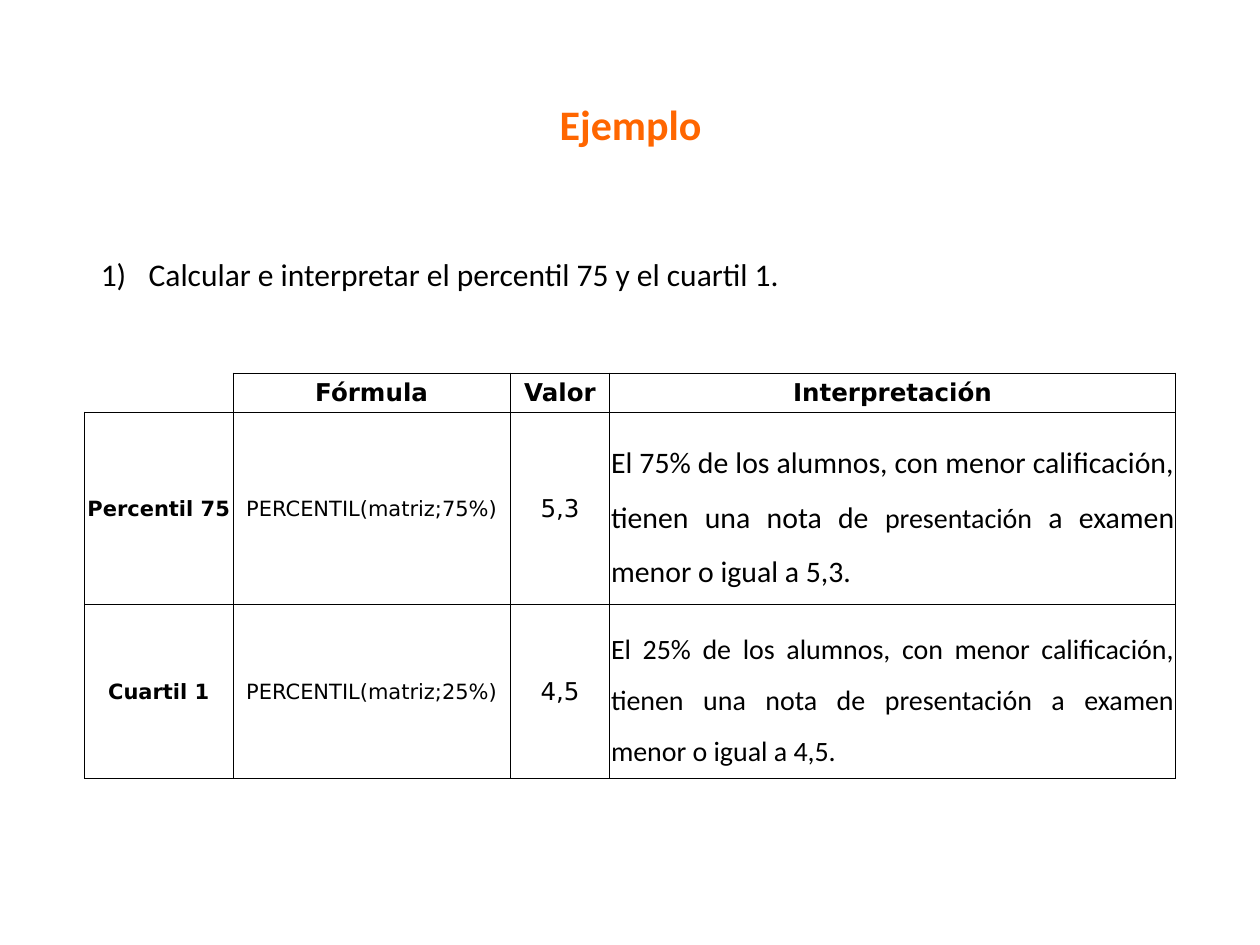
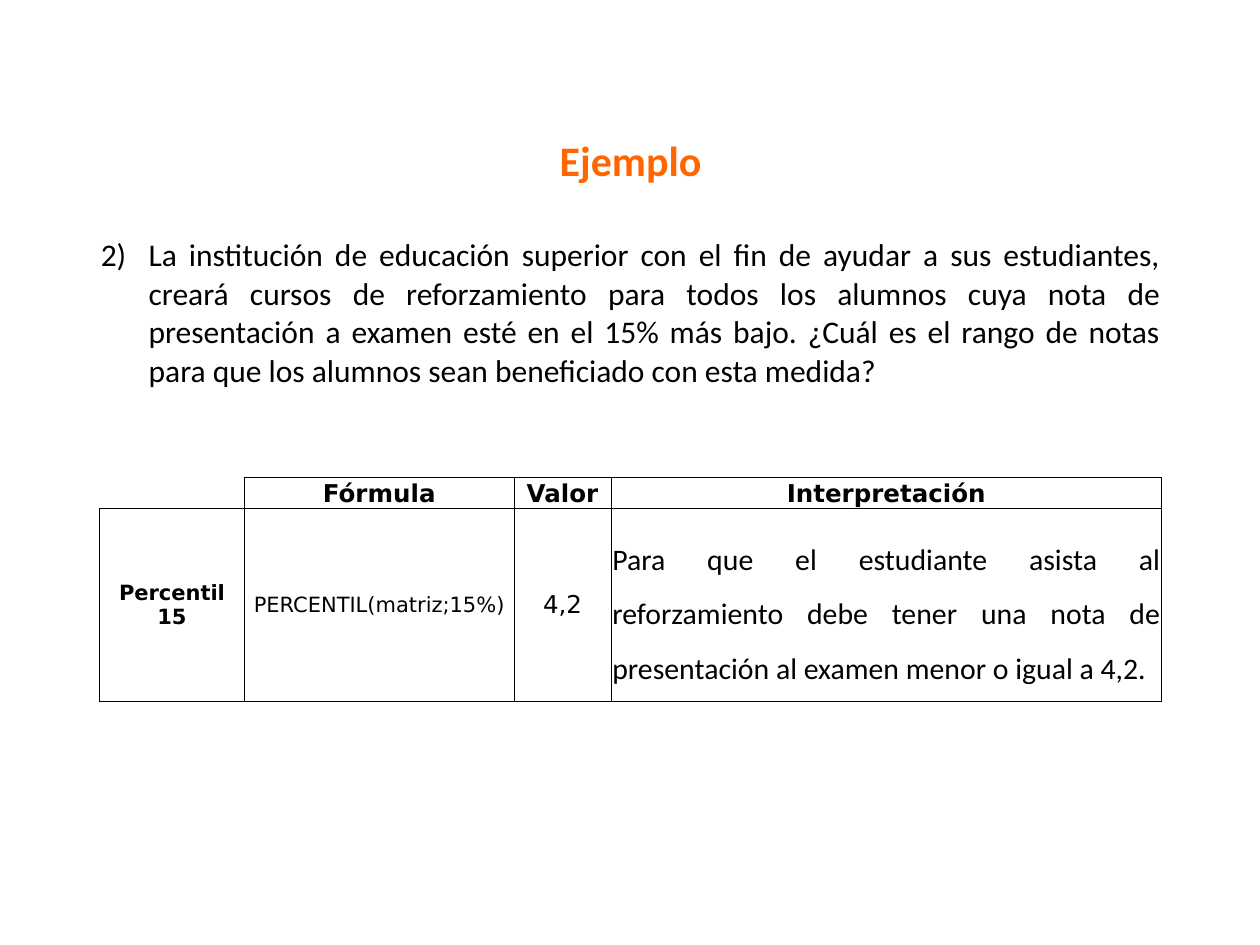
from lxml.etree import SubElement
from pptx import Presentation
from pptx.dml.color import RGBColor
from pptx.enum.text import MSO_ANCHOR, PP_ALIGN
from pptx.oxml.ns import qn
from pptx.util import Inches, Pt

COLORS = {"title": "FF6600", "text": "000000", "border": "000000", "cell": "FFFFFF"}
BODY_FONT = "Calibri"
TABLE_FONT = "DejaVu Sans"
PLAIN_TABLE_STYLE = "{2D5ABB26-0587-4C30-8999-92F81FD0307C}"
HEADERS = ("Fórmula", "Valor", "Interpretación")
LEFT, WIDTH = 0.79, 8.43


def write_text(paragraph, text, size=14, font=TABLE_FONT, color="text", bold=False,
               align=PP_ALIGN.CENTER, line_spacing=None):
    paragraph.alignment = align
    if line_spacing:
        paragraph.line_spacing = line_spacing
    run = paragraph.add_run()
    run.text = text
    run.font.size = Pt(size)
    run.font.name = font
    run.font.bold = bold
    run.font.color.rgb = RGBColor.from_string(COLORS[color])


class ExampleDeck:
    def __init__(self):
        self.presentation = Presentation()
        self.presentation.slide_width = Inches(10)
        self.presentation.slide_height = Inches(7.5)
        self.slide = None

    def add_slide(self):
        self.slide = self.presentation.slides.add_slide(self.presentation.slide_layouts[6])

    def add_title(self, text, top):
        box = self.slide.shapes.add_textbox(Inches(LEFT), Inches(top), Inches(WIDTH), Inches(0.5))
        box.text_frame.word_wrap = True
        write_text(box.text_frame.paragraphs[0], text, size=24, font=BODY_FONT,
                   color="title", bold=True)

    def add_table(self, left, top, columns, rows):
        frame = self.slide.shapes.add_table(
            len(rows), len(columns), Inches(left), Inches(top),
            Inches(sum(columns)), Inches(sum(rows)))
        table = frame.table
        table.first_row = table.horz_banding = False
        table._tbl.tblPr.find(qn("a:tableStyleId")).text = PLAIN_TABLE_STYLE
        for column, width in zip(table.columns, columns):
            column.width = Inches(width)
        for row, height in zip(table.rows, rows):
            row.height = Inches(height)
        for cell in table.iter_cells():
            cell.margin_left = cell.margin_right = cell.margin_top = Inches(0.01)
            cell.margin_bottom = 0
            cell.vertical_anchor = MSO_ANCHOR.MIDDLE
        return table

    def add_borders(self, cell, sides):
        properties = cell._tc.get_or_add_tcPr()
        for side in sides:
            line = SubElement(properties, qn(f"a:ln{side}"), w=str(Pt(0.5)))
            fill = SubElement(line, qn("a:solidFill"))
            SubElement(fill, qn("a:srgbClr"), val=COLORS["border"])

    def add_question(self, number, text, top, height):
        cell = self.add_table(LEFT, top, [WIDTH], [height]).cell(0, 0)
        cell.fill.background()
        paragraph = cell.text_frame.paragraphs[0]
        properties = paragraph._p.get_or_add_pPr()
        properties.set("marL", str(Inches(0.38)))
        properties.set("indent", str(-Inches(0.38)))
        SubElement(properties, qn("a:buAutoNum"), type="arabicParenR", startAt=str(number))
        write_text(paragraph, text, size=18, font=BODY_FONT, align=PP_ALIGN.JUSTIFY)

    def add_results(self, left, top, columns, rows, results):
        table = self.add_table(left, top, columns, rows)
        corner = table.cell(0, 0)
        for cell in table.iter_cells():
            self.add_borders(cell, "RB" if cell == corner else "LRTB")
            cell.fill.solid()
            cell.fill.fore_color.rgb = RGBColor.from_string(COLORS["cell"])
        SubElement(corner.text_frame.paragraphs[0]._p, qn("a:endParaRPr"), sz="1000")
        for index, header in enumerate(HEADERS, start=1):
            write_text(table.cell(0, index).text_frame.paragraphs[0], header, bold=True)
        for index, (measure, formula, value, meaning) in enumerate(results, start=1):
            paragraphs = [table.cell(index, column).text_frame.paragraphs[0]
                          for column in range(len(columns))]
            write_text(paragraphs[0], measure, size=12, bold=True)
            write_text(paragraphs[1], formula, size=12)
            write_text(paragraphs[2], value)
            for text, size in meaning:
                write_text(paragraphs[3], text, size=size, font=BODY_FONT,
                           align=PP_ALIGN.JUSTIFY, line_spacing=1.5)


def main():
    deck = ExampleDeck()

    deck.add_slide()
    deck.add_results(0.67, 2.96, [1.18, 2.2, 0.79, 4.49], [0.31, 1.53, 1.38], [
        ("Percentil 75", "PERCENTIL(matriz;75%)", "5,3", [
            ("El 75% de los alumnos, con menor calificación, tienen una nota de ", 17),
            ("presentación", 16),
            (" a examen menor o igual a 5,3.", 17)]),
        ("Cuartil 1", "PERCENTIL(matriz;25%)", "4,5", [
            ("El 25% de los alumnos, con menor calificación, tienen una nota de "
             "presentación a examen menor o igual a 4,5.", 16)]),
    ])
    deck.add_question(1, "Calcular e interpretar el percentil 75 y el cuartil 1.", 1.79, 0.78)
    deck.add_title("Ejemplo", 0.73)

    deck.add_slide()
    deck.add_results(LEFT, 3.79, [1.15, 2.14, 0.77, 4.37], [0.23, 1.53], [
        ("Percentil 15", "PERCENTIL(matriz;15%)", "4,2", [
            ("Para que el estudiante asista al reforzamiento debe tener una nota de "
             "presentación al examen menor o igual a 4,2.", 17)]),
    ])
    deck.add_question(
        2, "La institución de educación superior con el fin de ayudar a sus estudiantes, "
        "creará cursos de reforzamiento para todos los alumnos cuya nota de presentación a "
        "examen esté en el 15% más bajo. ¿Cuál es el rango de notas para que los alumnos "
        "sean beneficiado con esta medida?", 1.87, 1.21)
    deck.add_title("Ejemplo", 1.02)

    deck.presentation.save("out.pptx")


if __name__ == "__main__":
    main()
